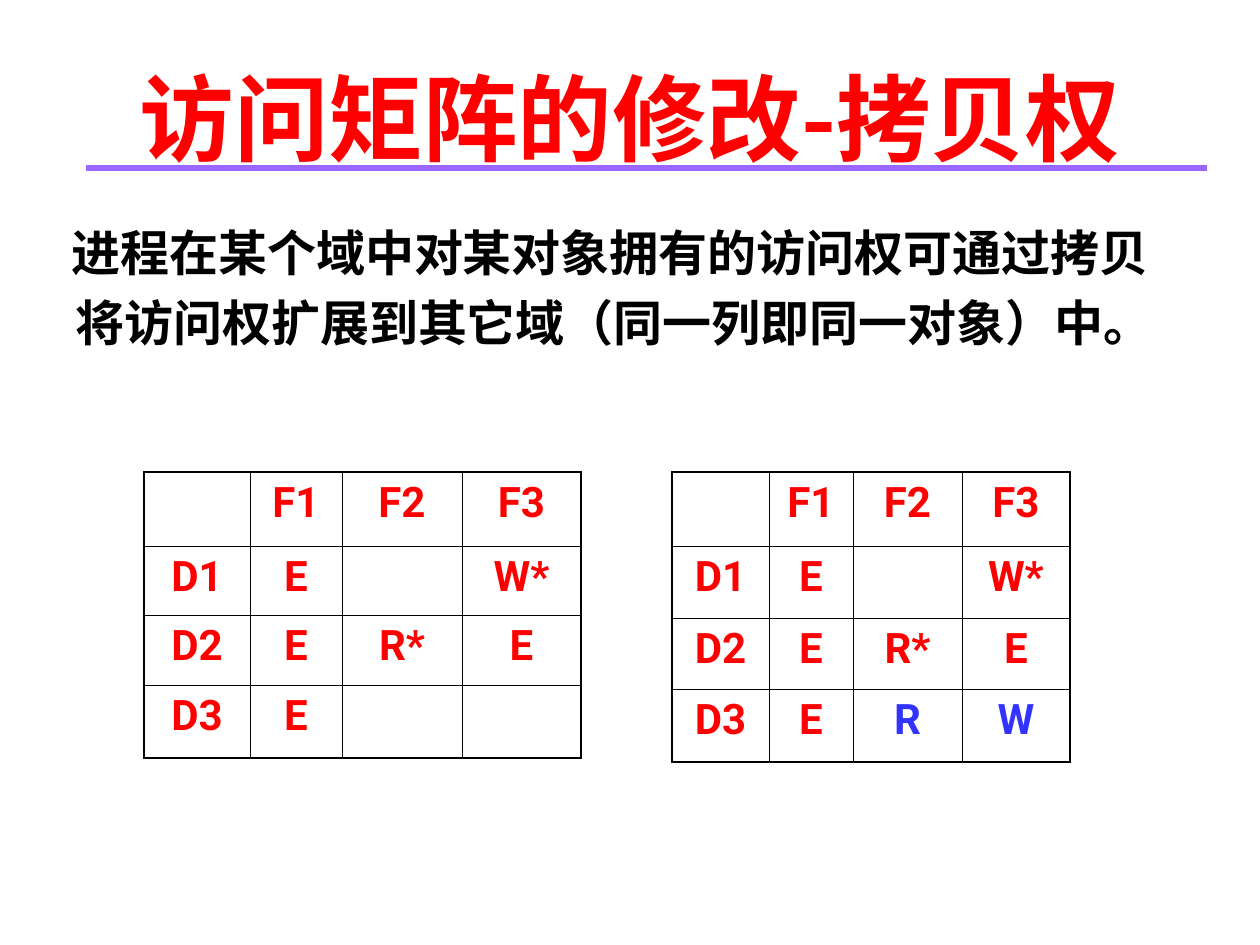
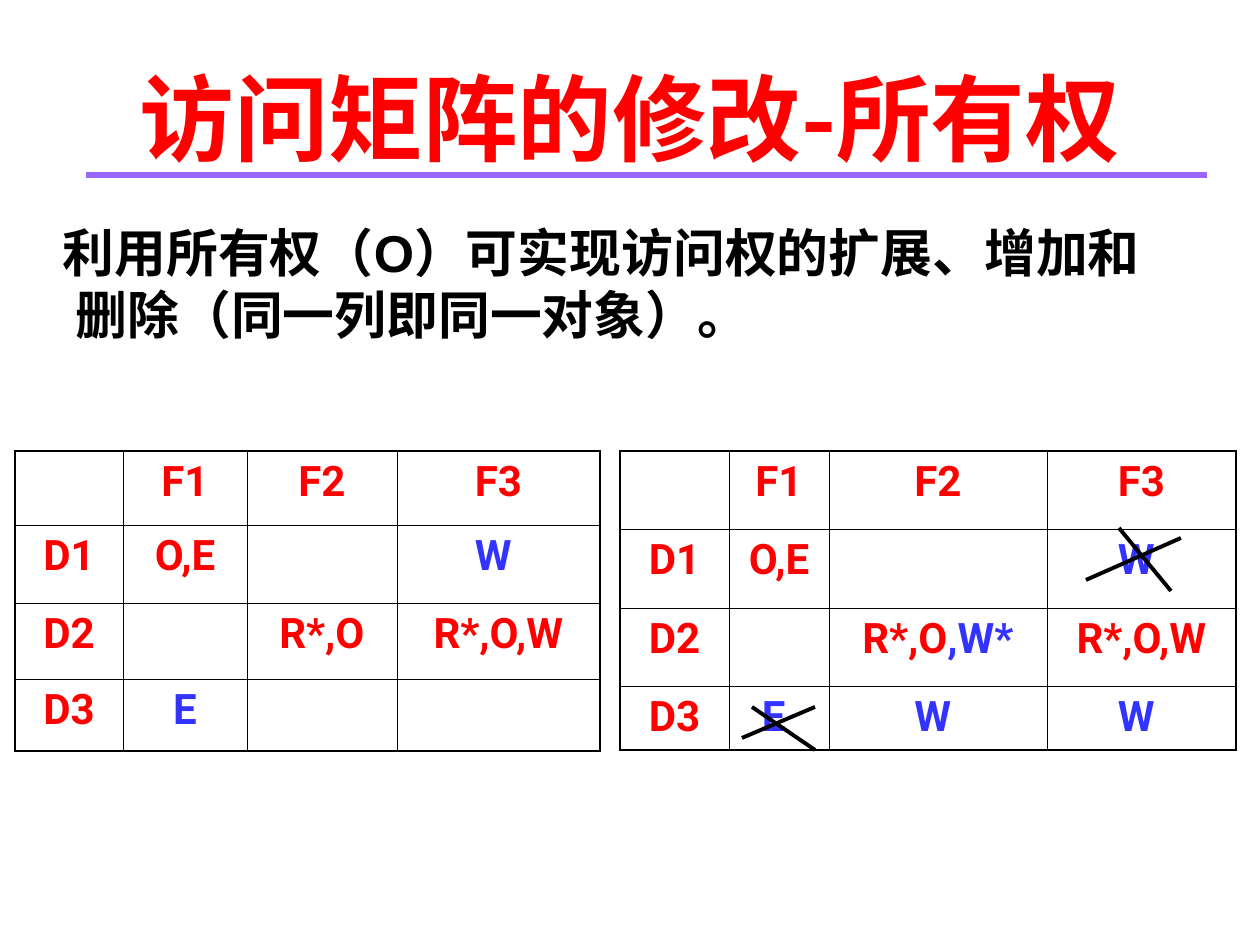
from dataclasses import dataclass

from lxml import etree
from pptx import Presentation
from pptx.dml.color import RGBColor
from pptx.enum import shapes, text
from pptx.oxml import ns
from pptx.util import Emu, Pt

PX = 914400 // 126


@dataclass(frozen=True)
class Theme:
    red: str = "FF0000"
    blue: str = "3333FF"
    black: str = "000000"
    rule: str = "9966FF"
    title_font: str = "Noto Sans CJK SC"
    body_font: str = "Arial"
    cell_font: str = "Roboto"
    title_size: float = 54
    cell_size: float = 24
    rule_width: float = 3
    strike_width: float = 2.25
    outer_border: float = 1.08
    inner_border: float = 0.45


THEME = Theme()
TITLE_BOX = (63, 38, 1134, 158)
RULE_X = (86, 1207)
BODY_MARGIN = 48

# In a matrix cell, the text after "|" is a right that changes.
SLIDES = [
    dict(
        title="访问矩阵的修改-拷贝权",
        rule_y=168,
        body="进程在某个域中对某对象拥有的访问权可通过拷贝将访问权扩展到其它域（同一列即同一对象）中。",
        body_box=(15, 204, 1173, 158), body_size=28, line_spacing=1.2, first_indent=-4,
        matrices=[
            dict(at=(144, 472), columns=(106, 92, 120, 119), rows=(74, 69, 70, 73), cells=[
                ("", "F1", "F2", "F3"),
                ("D1", "E", "", "W*"),
                ("D2", "E", "R*", "E"),
                ("D3", "E", "", "")]),
            dict(at=(672, 472), columns=(97, 84, 109, 108), rows=(74, 72, 71, 73), cells=[
                ("", "F1", "F2", "F3"),
                ("D1", "E", "", "W*"),
                ("D2", "E", "R*", "E"),
                ("D3", "E", "|R", "|W")]),
        ],
        strikes=[],
    ),
    dict(
        title="访问矩阵的修改-所有权",
        rule_y=175,
        body="利用所有权（O）可实现访问权的扩展、增加和删除（同一列即同一对象）。",
        body_box=(15, 214, 1183, 147), body_size=29.6, line_spacing=1.0, first_indent=-13,
        matrices=[
            dict(at=(15, 451), columns=(108, 124, 150, 203), rows=(74, 78, 76, 72), cells=[
                ("", "F1", "F2", "F3"),
                ("D1", "O,E", "", "|W "),
                ("D2", "", "R*,O", "R*,O,W"),
                ("D3", "|E", "", "")]),
            dict(at=(620, 451), columns=(109, 100, 218, 189), rows=(78, 79, 78, 64), cells=[
                ("", "F1", "F2", "F3"),
                ("D1", "O,E", "", "|W "),
                ("D2", "", "R*,O|,W*", "R*,O,W"),
                ("D3", "|E ", "|W ", "|W ")]),
        ],
        strikes=[(1119, 528, 1171, 591), (1181, 538, 1086, 580),
                 (752, 707, 815, 750), (815, 707, 742, 738)],
    ),
]


def px(*lengths):
    return [Emu(length * PX) for length in lengths]


def add_text(paragraph, words, *, font, size, color, east_asian=None):
    run = paragraph.add_run()
    run.text = words
    run.font.name, run.font.size, run.font.bold = font, Pt(size), True
    run.font.color.rgb = RGBColor.from_string(color)
    if east_asian:
        etree.SubElement(run.font._element, ns.qn("a:ea"), typeface=east_asian)


def open_placeholder(placeholder, box):
    """Move a placeholder and return its first paragraph, ready for text."""
    placeholder.left, placeholder.top, placeholder.width, placeholder.height = px(*box)
    frame = placeholder.text_frame
    frame.word_wrap = True
    frame.auto_size = text.MSO_AUTO_SIZE.NONE
    return frame.paragraphs[0]


def add_title(slide, words):
    paragraph = open_placeholder(slide.shapes.title, TITLE_BOX)
    slide.shapes.title.text_frame.vertical_anchor = text.MSO_ANCHOR.MIDDLE
    paragraph.alignment = text.PP_ALIGN.CENTER
    add_text(paragraph, words, font=THEME.title_font, size=THEME.title_size,
             color=THEME.red, east_asian=THEME.title_font)


def add_body(slide, content):
    paragraph = open_placeholder(slide.placeholders[1], content["body_box"])
    properties = paragraph._p.get_or_add_pPr()
    properties.set("marL", str(BODY_MARGIN * PX))
    properties.set("indent", str(content["first_indent"] * PX))
    paragraph.space_before = Pt(0)
    paragraph.line_spacing = content["line_spacing"]
    etree.SubElement(properties, ns.qn("a:buNone"))
    add_text(paragraph, content["body"], font=THEME.body_font,
             size=content["body_size"], color=THEME.black)


def set_borders(cell, widths):
    """Draw the left, right, top and bottom borders, in that order."""
    properties = cell._tc.get_or_add_tcPr()
    for place, (side, width) in enumerate(zip("LRTB", widths)):
        line = etree.Element(ns.qn(f"a:ln{side}"), w=str(Pt(width)))
        fill = etree.SubElement(line, ns.qn("a:solidFill"))
        etree.SubElement(fill, ns.qn("a:srgbClr"), val=THEME.black)
        properties.insert(place, line)


def add_matrix(slide, matrix):
    cells, columns, rows = matrix["cells"], matrix["columns"], matrix["rows"]
    table = slide.shapes.add_table(
        len(rows), len(columns), *px(*matrix["at"], sum(columns), sum(rows))).table
    table.first_row = table.horz_banding = False
    for column, width in zip(table.columns, px(*columns)):
        column.width = width
    for row, height in zip(table.rows, px(*rows)):
        row.height = height
    for r, row in enumerate(cells):
        for c, rights in enumerate(row):
            cell = table.cell(r, c)
            cell.fill.background()
            on_edge = (c == 0, c == len(columns) - 1, r == 0, r == len(rows) - 1)
            set_borders(cell, [THEME.outer_border if edge else THEME.inner_border
                               for edge in on_edge])
            paragraph = cell.text_frame.paragraphs[0]
            paragraph.alignment = text.PP_ALIGN.CENTER
            for words, color in zip(rights.split("|"), (THEME.red, THEME.blue)):
                if words:
                    add_text(paragraph, words, font=THEME.cell_font,
                             size=THEME.cell_size, color=color)


def add_line(slide, ends, color, width):
    line = slide.shapes.add_connector(shapes.MSO_CONNECTOR.STRAIGHT, *px(*ends))
    line.line.color.rgb = RGBColor.from_string(color)
    line.line.width = Pt(width)
    etree.SubElement(line._element.spPr, ns.qn("a:effectLst"))


def main():
    deck = Presentation()
    deck.slide_width, deck.slide_height = px(1260, 945)
    for content in SLIDES:
        slide = deck.slides.add_slide(deck.slide_layouts[1])
        add_title(slide, content["title"])
        add_body(slide, content)
        for matrix in content["matrices"]:
            add_matrix(slide, matrix)
        for strike in content["strikes"]:
            add_line(slide, strike, THEME.black, THEME.strike_width)
        left, right = RULE_X
        add_line(slide, (left, content["rule_y"], right, content["rule_y"]),
                 THEME.rule, THEME.rule_width)
    deck.save("out.pptx")


if __name__ == "__main__":
    main()
